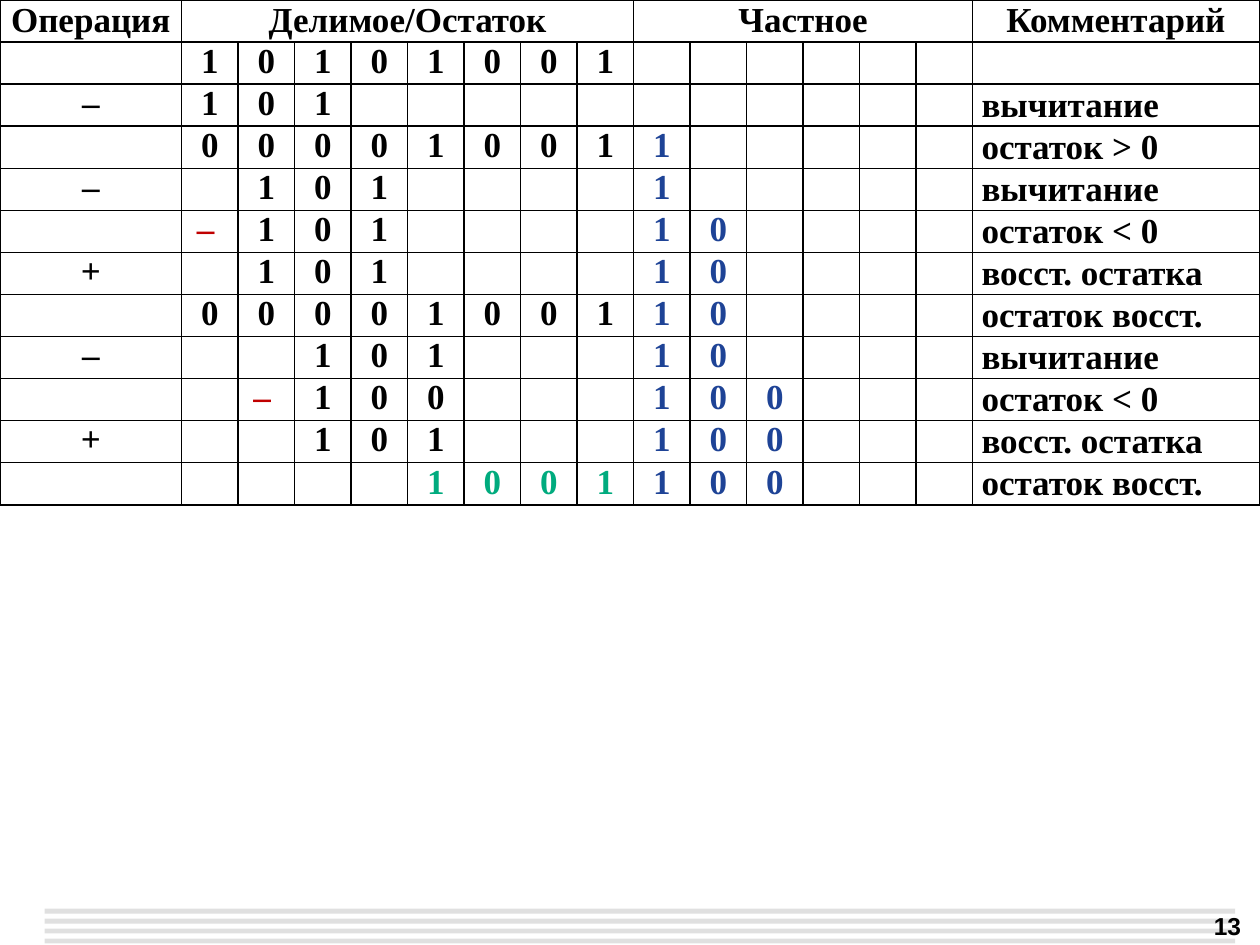
from lxml import etree
from pptx import Presentation
from pptx.dml.color import RGBColor
from pptx.enum.shapes import MSO_SHAPE
from pptx.enum.text import MSO_ANCHOR, PP_ALIGN
from pptx.oxml.ns import qn
from pptx.util import Cm, Pt

RECTANGLE = MSO_SHAPE.RECTANGLE
TOP, MIDDLE = MSO_ANCHOR.TOP, MSO_ANCHOR.MIDDLE
LEFT, CENTER, RIGHT = PP_ALIGN.LEFT, PP_ALIGN.CENTER, PP_ALIGN.RIGHT

COLORS = {
    "ink": "000000",
    "quotient": "1E4396",
    "negative": "C00000",
    "remainder": "00AB7E",
    "stripe": "E0E0E0",
}
DIVIDEND_BITS, QUOTIENT_BITS = 8, 6
QUOTIENT_START = 1 + DIVIDEND_BITS
COMMENT_COLUMN = QUOTIENT_START + QUOTIENT_BITS
COLUMN_WIDTHS = [3.66] + [1.14] * (DIVIDEND_BITS + QUOTIENT_BITS) + [5.78]

HEADINGS = {
    0: "Операция",
    1: "Делимое/Остаток",
    QUOTIENT_START: "Частное",
    COMMENT_COLUMN: "Комментарий",
}
# Operation, dividend or remainder bits (a dot is an empty cell), quotient, comment
STEPS = [
    ("", "10101001", "", ""),
    ("–", "101", "", "вычитание"),
    ("", "00001001", "1", "остаток > 0"),
    ("–", ".101", "1", "вычитание"),
    ("", "–101", "10", "остаток < 0"),
    ("+", ".101", "10", "восст. остатка"),
    ("", "00001001", "10", "остаток восст."),
    ("–", "..101", "10", "вычитание"),
    ("", ".–100", "100", "остаток < 0"),
    ("+", "..101", "100", "восст. остатка"),
    ("", "....1001", "100", "остаток восст."),
]


class SlideBuilder:
    def __init__(self, slide):
        self.slide = slide
        self.text_style = {"name": "Times New Roman", "size": Pt(20), "bold": True}
        self.cell_style = {
            "margin_left": Cm(0.18),
            "margin_right": Cm(0.18),
            "margin_top": 0,
            "margin_bottom": 0,
        }
        self.plain_table = {"first_row": False, "horz_banding": False}

    def apply(self, target, style):
        for attribute, value in style.items():
            setattr(target, attribute, value)

    def add_text(self, paragraph, text, color="ink", align=CENTER, **changes):
        paragraph.alignment = align
        run = paragraph.add_run()
        run.text = text
        self.apply(run.font, {**self.text_style, **changes})
        run.font.color.rgb = RGBColor.from_string(COLORS[color])
        return run

    def stripe(self, left, top, width, height):
        bar = self.slide.shapes.add_shape(
            RECTANGLE, Cm(left), Cm(top), Cm(width), Cm(height)
        )
        bar.shadow.inherit = False
        bar.fill.solid()
        bar.fill.fore_color.rgb = RGBColor.from_string(COLORS["stripe"])
        bar.line.fill.background()

    def label(self, text, left, top, width, height, **format_values):
        box = self.slide.shapes.add_textbox(Cm(left), Cm(top), Cm(width), Cm(height))
        box.text_frame.word_wrap = True
        self.add_text(box.text_frame.paragraphs[0], text, **format_values)

    def table(self, row_count, widths, height):
        frame = self.slide.shapes.add_table(
            row_count, len(widths), 0, 0, Cm(sum(widths)), Cm(height)
        )
        grid = frame.table
        self.apply(grid, self.plain_table)
        for column, width in zip(grid.columns, widths):
            column.width = Cm(width)
        for cell in grid.iter_cells():
            self.apply(cell, self.cell_style)
            self.border(cell)
            cell.fill.background()
        return grid

    def border(self, cell):
        properties = cell._tc.get_or_add_tcPr()
        for side in ("a:lnL", "a:lnR", "a:lnT", "a:lnB"):
            line = etree.SubElement(properties, qn(side), w=str(Pt(1)))
            fill = etree.SubElement(line, qn("a:solidFill"))
            etree.SubElement(fill, qn("a:srgbClr"), val=COLORS["ink"])

    def cell_text(self, cell, text, color="ink", align=CENTER, anchor=TOP):
        cell.vertical_anchor = anchor
        paragraph = cell.text_frame.paragraphs[0]
        paragraph.space_after = Pt(2)
        run = self.add_text(paragraph, text, color, align)
        if text.startswith("–"):
            run.font._element.set("spc", "-20")


def fill_step(builder, grid, row, step):
    operation, dividend, quotient, comment = step
    is_last = row == len(STEPS)
    if operation:
        builder.cell_text(grid.cell(row, 0), operation)
    for column, bit in enumerate(dividend, start=1):
        if bit == "–":
            builder.cell_text(grid.cell(row, column), "– ", "negative")
        elif bit != ".":
            color = "remainder" if is_last else "ink"
            builder.cell_text(grid.cell(row, column), bit, color)
    for column, bit in enumerate(quotient, start=QUOTIENT_START):
        builder.cell_text(grid.cell(row, column), bit, "quotient")
    if comment:
        builder.cell_text(
            grid.cell(row, COMMENT_COLUMN), comment, align=LEFT, anchor=MIDDLE
        )


def main():
    deck = Presentation()
    deck.slide_width, deck.slide_height = Cm(25.4), Cm(19.05)
    # The slide shows no title, so it uses the blank layout
    builder = SlideBuilder(deck.slides.add_slide(deck.slide_layouts[6]))

    # Footer stripes and slide number
    for index in range(4):
        builder.stripe(0.9, 18.32 + 0.2 * index, 24, 0.1)
    builder.label(
        "13", 19.66, 18.24, 5.61, 0.84, align=RIGHT, name="Arial", size=Pt(14)
    )

    # Division table: headings
    grid = builder.table(len(STEPS) + 1, COLUMN_WIDTHS, 10.16)
    grid.cell(0, 1).merge(grid.cell(0, DIVIDEND_BITS))
    grid.cell(0, QUOTIENT_START).merge(grid.cell(0, COMMENT_COLUMN - 1))
    for column, heading in HEADINGS.items():
        builder.cell_text(grid.cell(0, column), heading, anchor=MIDDLE)

    # Division table: steps
    for row, step in enumerate(STEPS, start=1):
        fill_step(builder, grid, row, step)

    deck.save("out.pptx")


if __name__ == "__main__":
    main()
